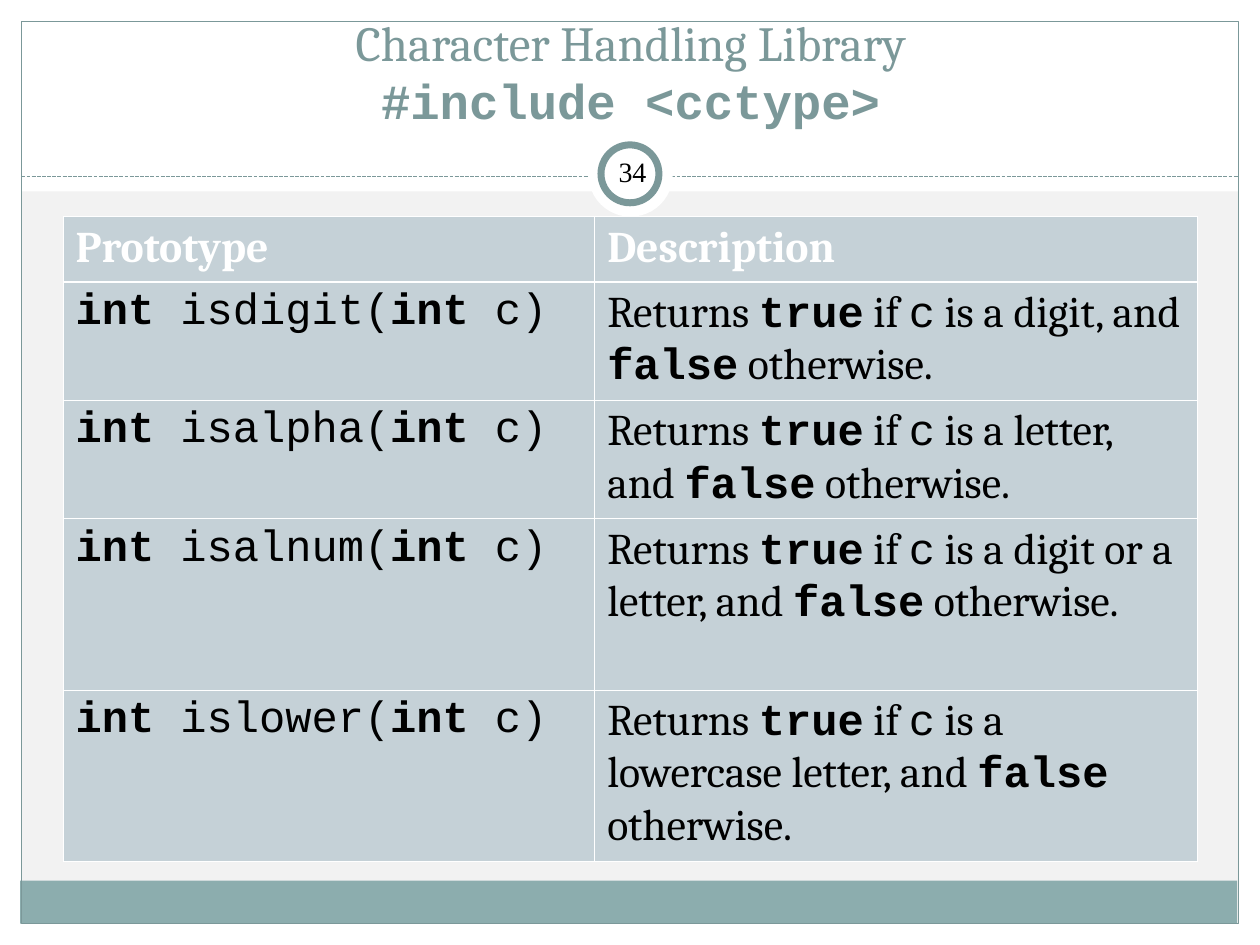
"""Build the character handling library slide."""
from typing import NamedTuple, Optional

from lxml import etree
from pptx import Presentation
from pptx import util as u
from pptx.dml.color import RGBColor
from pptx.enum import dml, shapes, text
from pptx.oxml import ns

COLORS = {
    "page": "F2F2F2",
    "white": "FFFFFF",
    "footer": "8CADAE",
    "accent": "7B9899",
    "cell": "C5D1D7",
    "ink": "000000",
}
SERIF, CODE, NUMERAL = "Cambria", "Courier New", "Times New Roman"
RECT, OVAL = shapes.MSO_SHAPE.RECTANGLE, shapes.MSO_SHAPE.OVAL
THIN, THICK = 0.45, 1.47


class Panel(NamedTuple):
    """A plain shape of the slide frame."""
    kind: shapes.MSO_SHAPE
    left: float
    top: float
    width: float
    height: float
    fill: Optional[str] = None
    line: Optional[str] = None
    weight: float = 0.75


class Piece(NamedTuple):
    """A stretch of text in one font."""
    words: str
    font: str = SERIF
    bold: bool = False


class Check(NamedTuple):
    """A library function and what it tests for."""
    name: str
    subject: str


PANELS = [
    Panel(RECT, 0, 7.33, 10, 0.17, "white"),
    Panel(RECT, 0, 0, 10, 1.52, "white"),
    Panel(RECT, 0, 0, 0.17, 7.5, "white"),
    Panel(RECT, 9.83, 0, 0.17, 7.5, "white"),
    Panel(RECT, 0.16, 6.99, 9.66, 0.34, "footer"),
    Panel(RECT, 0.17, 0.17, 9.66, 7.16, line="accent"),
]
BADGE = [
    Panel(OVAL, 4.67, 1.05, 0.67, 0.67, "white"),
    Panel(OVAL, 4.77, 1.15, 0.46, 0.46, "white", "accent", 4),
]
CHECKS = [
    Check("isdigit", "digit"),
    Check("isalpha", "letter"),
    Check("isalnum", "digit or a letter"),
    Check("islower", "lowercase letter"),
]
COLUMNS = [4.22, 4.78]
ROWS = [0.51, 0.94, 0.94, 1.36, 1.36]


def rgb(color: str) -> RGBColor:
    """Look up a named colour."""
    return RGBColor.from_string(COLORS[color])


def draw_panel(slide, panel: Panel) -> None:
    """Draw one frame shape."""
    shape = slide.shapes.add_shape(
        panel.kind, *map(u.Inches, (panel.left, panel.top, panel.width, panel.height)))
    shape.shadow.inherit = False
    if panel.fill:
        shape.fill.solid()
        shape.fill.fore_color.rgb = rgb(panel.fill)
    else:
        shape.fill.background()
    if panel.line:
        shape.line.color.rgb = rgb(panel.line)
        shape.line.width = u.Pt(panel.weight)
    else:
        shape.line.fill.background()


def draw_divider(slide) -> None:
    """Draw the dashed line under the title."""
    divider = slide.shapes.add_connector(
        shapes.MSO_CONNECTOR.STRAIGHT, *map(u.Inches, (0.17, 1.4, 9.83, 1.4)))
    divider.line.color.rgb = rgb("accent")
    divider.line.width = u.Pt(0.75)
    divider.line.dash_style = dml.MSO_LINE.SQUARE_DOT
    etree.SubElement(divider._element.spPr, ns.qn("a:effectLst"))


def write(paragraph, pieces: list[Piece], size: float, color: str) -> None:
    """Add text pieces to a paragraph."""
    for piece in pieces:
        run = paragraph.add_run()
        run.text = piece.words
        formats = {"name": piece.font, "size": u.Pt(size), "bold": piece.bold}
        for key, value in formats.items():
            setattr(run.font, key, value)
        run.font.color.rgb = rgb(color)


def add_caption(slide, box: tuple, anchor: text.MSO_ANCHOR, inset: float):
    """Add a centred text box and return its paragraph."""
    frame = slide.shapes.add_textbox(*map(u.Inches, box)).text_frame
    formats = {"word_wrap": True, "vertical_anchor": anchor}
    formats |= {f"margin_{side}": u.Inches(inset)
                for side in ("left", "top", "right", "bottom")}
    for key, value in formats.items():
        setattr(frame, key, value)
    paragraph = frame.paragraphs[0]
    paragraph.alignment = text.PP_ALIGN.CENTER
    return paragraph


def style_cell(cell, top: float, bottom: float) -> None:
    """Fill a cell and rule its four sides."""
    cell.fill.solid()
    cell.fill.fore_color.rgb = rgb("cell")
    properties = cell._tc.get_or_add_tcPr()
    for place, (side, weight) in enumerate(
            {"L": THIN, "R": THIN, "T": top, "B": bottom}.items()):
        border = etree.Element(ns.qn(f"a:ln{side}"), w=str(u.Pt(weight)))
        solid = etree.SubElement(border, ns.qn("a:solidFill"))
        etree.SubElement(solid, ns.qn("a:srgbClr"), val=COLORS["white"])
        properties.insert(place, border)


def prototype(check: Check) -> list[Piece]:
    """Give the declaration of a function."""
    keyword = Piece("int", CODE, True)
    return [keyword, Piece(f" {check.name}(", CODE), keyword, Piece(" c)", CODE)]


def description(check: Check) -> list[Piece]:
    """Give the explanation of a function."""
    return [
        Piece("Returns "), Piece("true", CODE, True), Piece(" if "), Piece("c", CODE),
        Piece(f" is a {check.subject}, and "), Piece("false", CODE, True),
        Piece(" otherwise."),
    ]


def draw_functions(slide) -> None:
    """Draw the table of functions."""
    table = slide.shapes.add_table(
        len(ROWS), len(COLUMNS),
        *map(u.Inches, (0.5, 1.72, sum(COLUMNS), sum(ROWS)))).table
    table.horz_banding = False
    for column, width in zip(table.columns, COLUMNS):
        column.width = u.Inches(width)
    for row, height in zip(table.rows, ROWS):
        row.height = u.Inches(height)
    header = [[Piece(title, bold=True)] for title in ("Prototype", "Description")]
    content = [header] + [[prototype(check), description(check)] for check in CHECKS]
    for index, entries in enumerate(content):
        for cell, pieces in zip(table.rows[index].cells, entries):
            style_cell(cell, THICK if index == 1 else THIN, THICK if index == 0 else THIN)
            write(cell.text_frame.paragraphs[0], pieces, 25, "ink" if index else "white")


def main() -> None:
    """Build and save the slide."""
    deck = Presentation()
    deck.slide_width, deck.slide_height = u.Inches(10), u.Inches(7.5)
    slide = deck.slides.add_slide(deck.slide_layouts[6])
    slide.background.fill.solid()
    slide.background.fill.fore_color.rgb = rgb("page")
    for panel in PANELS:
        draw_panel(slide, panel)
    draw_divider(slide)
    for ring in BADGE:
        draw_panel(slide, ring)
    title = add_caption(slide, (0.17, 0.25, 9.67, 0.83), text.MSO_ANCHOR.BOTTOM, 0.05)
    write(title, [Piece("Character Handling Library")], 28, "accent")
    title.add_line_break()
    write(title, [Piece("#include <cctype>", CODE, True)], 28, "accent")
    draw_functions(slide)
    number = add_caption(slide, (4.77, 1.12, 0.5, 0.48), text.MSO_ANCHOR.MIDDLE, 0.05)
    write(number, [Piece("34", NUMERAL)], 16, "ink")
    deck.save("out.pptx")


if __name__ == "__main__":
    main()
